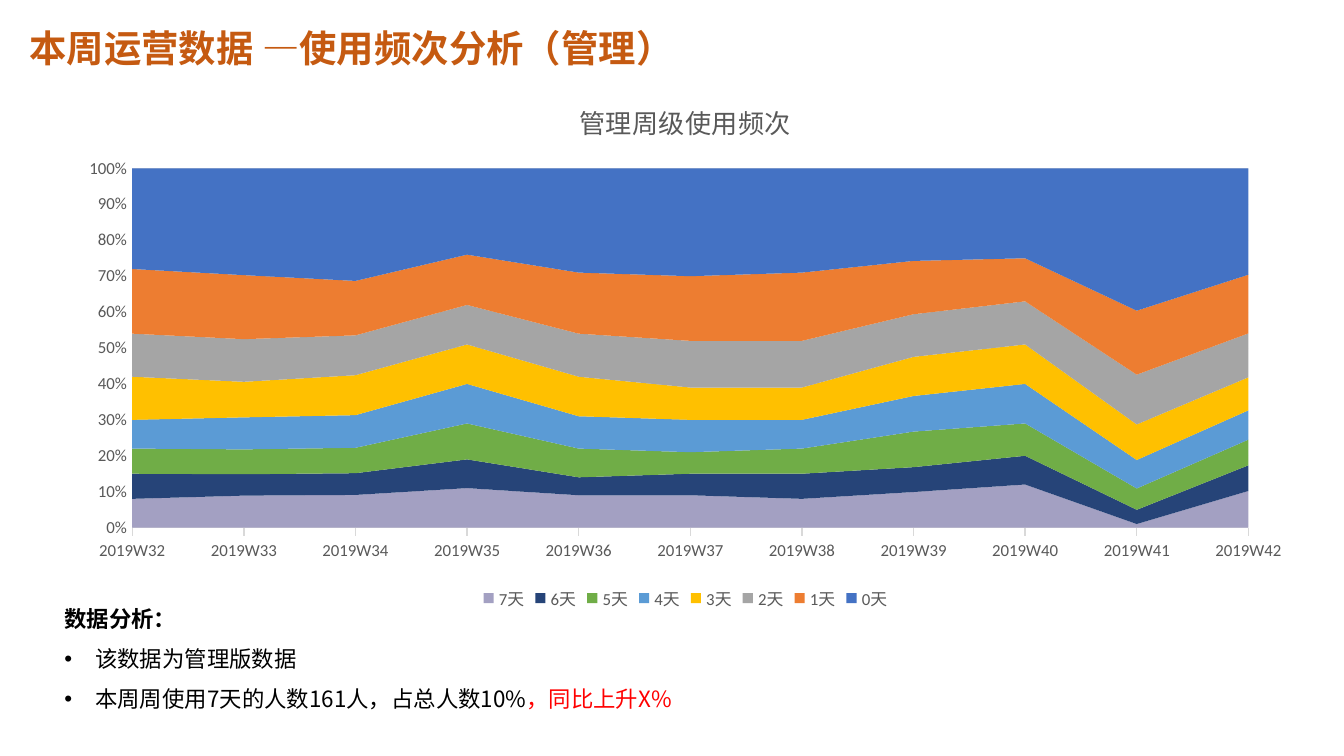
"""Build the weekly usage-frequency slide with a stacked area chart."""
from dataclasses import dataclass

import pptx
import pptx.chart.data
import pptx.dml.color
import pptx.enum.chart
import pptx.enum.text
import pptx.oxml
import pptx.oxml.ns
import pptx.util

WIDTH = pptx.util.Inches(10)
HEIGHT = pptx.util.Emu(WIDTH * 9 // 16)
CJK, LATIN = "Noto Sans CJK SC", "Calibri"
COLORS = {
    "black": "000000", "red": "FF0000", "title": "C55A11",
    "label": "595959", "rule": "D9D9D9", "7天": "A3A0C2",
    "6天": "264478", "5天": "70AD47", "4天": "5B9BD5",
    "3天": "FFC000", "2天": "A5A5A5", "1天": "ED7D31", "0天": "4472C4",
}
WEEKS = [f"2019W{week}" for week in range(32, 43)]


@dataclass(frozen=True)
class Box:
    left: float
    top: float
    width: float
    height: float

    def emu(self) -> tuple[int, ...]:
        shares = (self.left, self.top, self.width, self.height)
        return tuple(int(share / 100 * full)
                     for share, full in zip(shares, (WIDTH, HEIGHT) * 2))


@dataclass(frozen=True)
class Run:
    text: str
    color: str = "black"
    size: float = 12
    bold: bool = False


@dataclass(frozen=True)
class Para:
    runs: tuple[Run, ...]
    bullet: bool = False


@dataclass(frozen=True)
class Series:
    name: str
    values: tuple[int, ...]


TITLE = (Para((Run("本周运营数据 —使用频次分析（管理）", "title", 20, True),)),)
ANALYSIS = (
    Para((Run("数据分析：", bold=True),)),
    Para((Run("该数据为管理版数据"),), True),
    Para((Run("本周周使用7天的人数161人，占总人数10%"),
          Run("，同比上升X%", "red")), True),
)
SERIES = (
    Series("7天", (8, 9, 9, 11, 9, 9, 8, 10, 12, 1, 10)),
    Series("6天", (7, 6, 6, 8, 5, 6, 7, 7, 8, 4, 7)),
    Series("5天", (7, 7, 7, 10, 8, 6, 7, 10, 9, 6, 7)),
    Series("4天", (8, 9, 9, 11, 9, 9, 8, 10, 11, 8, 8)),
    Series("3天", (12, 10, 11, 11, 11, 9, 9, 11, 11, 10, 9)),
    Series("2天", (12, 12, 11, 11, 12, 13, 13, 12, 12, 14, 12)),
    Series("1天", (18, 18, 15, 14, 17, 18, 19, 15, 12, 18, 16)),
    Series("0天", (28, 30, 31, 24, 29, 30, 29, 26, 25, 40, 29)),
)


def rgb(name: str) -> pptx.dml.color.RGBColor:
    return pptx.dml.color.RGBColor.from_string(COLORS[name])


def set_font(font, name: str, size: float, color: str, bold: bool = False) -> None:
    font.name, font.size, font.bold = name, pptx.util.Pt(size), bold
    font.color.rgb = rgb(color)


def set_rule(line) -> None:
    line.color.rgb = rgb("rule")
    line.width = pptx.util.Pt(0.75)


def add_bullet(p) -> None:
    p.line_spacing = 1.5
    pPr = p._p.get_or_add_pPr()
    indent = pptx.util.Inches(0.23)
    pPr.set("marL", str(indent))
    pPr.set("indent", str(-indent))
    ns = pptx.oxml.ns.nsdecls("a")
    pPr.append(pptx.oxml.parse_xml(f'<a:buFont {ns} typeface="Arial"/>'))
    pPr.append(pptx.oxml.parse_xml(f'<a:buChar {ns} char="•"/>'))


def add_text(s, box: Box, paras: tuple[Para, ...], wrap: bool) -> None:
    tf = s.shapes.add_textbox(*box.emu()).text_frame
    tf.word_wrap = wrap
    tf.auto_size = pptx.enum.text.MSO_AUTO_SIZE.SHAPE_TO_FIT_TEXT
    for i, para in enumerate(paras):
        p = tf.add_paragraph() if i else tf.paragraphs[0]
        if para.bullet:
            add_bullet(p)
        for run in para.runs:
            r = p.add_run()
            r.text = run.text
            set_font(r.font, CJK, run.size, run.color, run.bold)
            r._r.get_or_add_rPr().append(pptx.oxml.parse_xml(
                f'<a:ea {pptx.oxml.ns.nsdecls("a")} typeface="{CJK}"/>'))


def add_area_chart(s, box: Box, title: str, series: tuple[Series, ...]) -> None:
    enums = pptx.enum.chart
    data = pptx.chart.data.CategoryChartData()
    data.categories = WEEKS
    for item in series:
        data.add_series(item.name, item.values)
    chart = s.shapes.add_chart(
        enums.XL_CHART_TYPE.AREA_STACKED_100, *box.emu(), data).chart
    set_font(chart.font, LATIN, 10, "black")

    chart.has_title = True
    r = chart.chart_title.text_frame.paragraphs[0].add_run()
    r.text = title
    set_font(r.font, LATIN, 14, "label")

    chart.has_legend = True
    chart.legend.position = enums.XL_LEGEND_POSITION.BOTTOM
    chart.legend.include_in_layout = False
    set_font(chart.legend.font, LATIN, 9, "label")

    plot = chart.plots[0]
    plot.vary_by_categories = False
    for area in plot.series:
        area.format.fill.solid()
        area.format.fill.fore_color.rgb = rgb(area.name)
        area.format.line.fill.background()

    weeks, share = chart.category_axis, chart.value_axis
    for axis in (weeks, share):
        set_font(axis.tick_labels.font, LATIN, 9, "label")
        axis.minor_tick_mark = enums.XL_TICK_MARK.NONE
    weeks.major_tick_mark = enums.XL_TICK_MARK.OUTSIDE
    weeks.has_major_gridlines = False
    set_rule(weeks.format.line)
    share.major_tick_mark = enums.XL_TICK_MARK.NONE
    share.format.line.fill.background()
    share.has_major_gridlines = True
    set_rule(share.major_gridlines.format.line)
    share.tick_labels.number_format = "0%"
    share.tick_labels.number_format_is_linked = False
    for crossing in share._element.xpath("c:crossBetween"):
        crossing.set("val", "midCat")


def main() -> None:
    prs = pptx.Presentation()
    prs.slide_width, prs.slide_height = WIDTH, HEIGHT
    s = prs.slides.add_slide(prs.slide_layouts[6])
    add_text(s, Box(3.8, 79.11, 82.8, 16.18), ANALYSIS, True)
    add_text(s, Box(1.2, 2.49, 50, 7.82), TITLE, False)
    add_area_chart(s, Box(4.8, 10.13, 92.4, 71.29), "管理周级使用频次", SERIES)
    prs.save("out.pptx")


if __name__ == "__main__":
    main()
